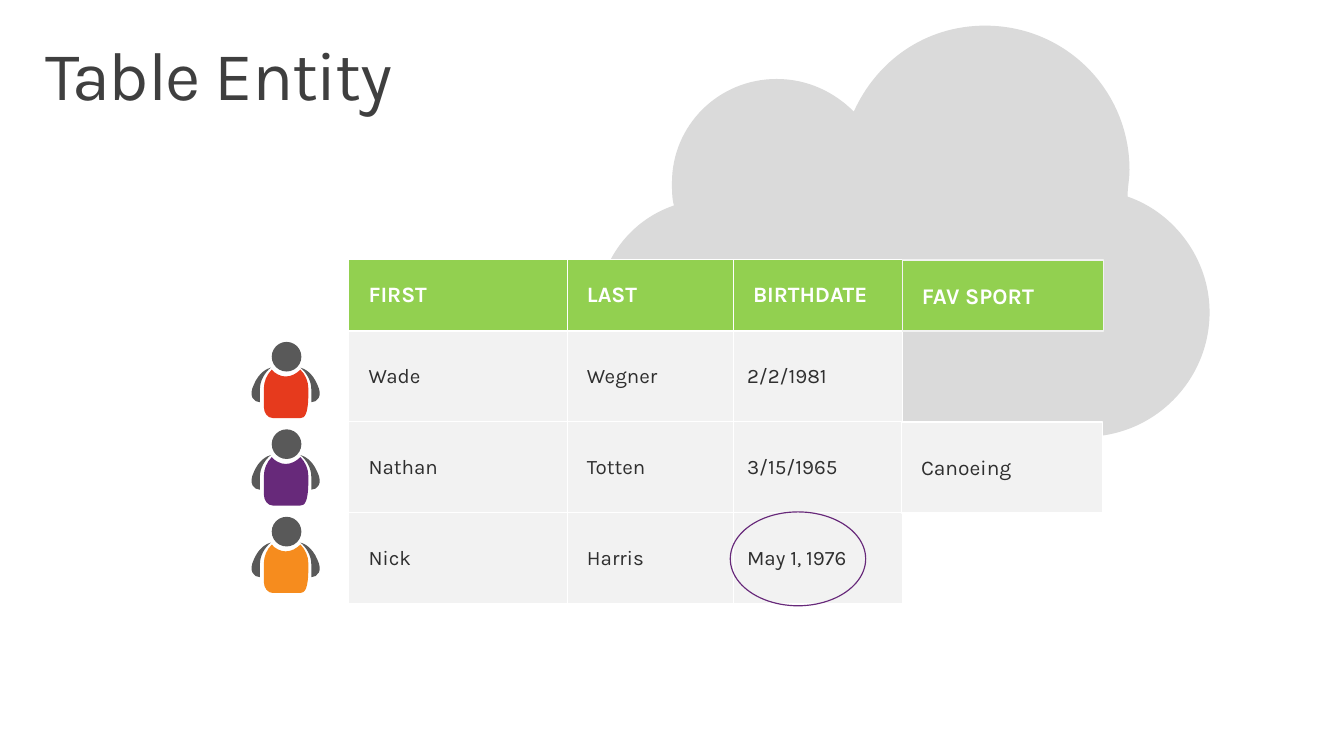
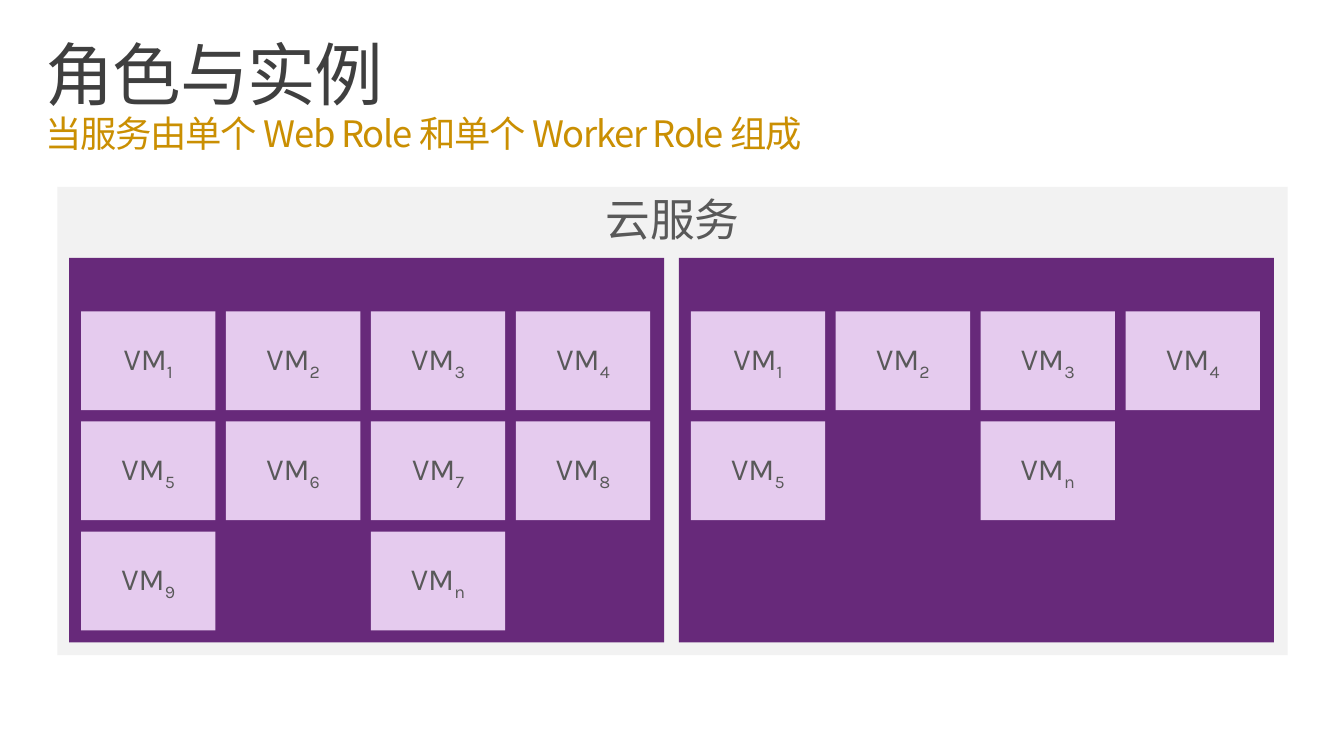
from dataclasses import dataclass

from lxml.etree import SubElement
from pptx import Presentation
from pptx.dml.color import RGBColor
from pptx.enum.shapes import MSO_SHAPE as Preset
from pptx.enum.text import MSO_ANCHOR as Anchor, PP_ALIGN as Align
from pptx.oxml.ns import qn
from pptx.util import Inches, Pt


@dataclass(frozen=True)
class Theme:
    # Fonts
    latin: str = "Karla"
    asian: str = "Noto Sans CJK SC"
    # Colours
    title: str = "3F3F3F"
    subtitle: str = "CA8F02"
    body: str = "2F2F2F"
    grey: str = "595959"
    cloud: str = "DADADA"
    pale: str = "F2F2F2"
    white: str = "FFFFFF"
    green: str = "92D050"
    purple: str = "67297A"
    lilac: str = "E5CBEE"
    red: str = "E63A1D"
    orange: str = "F68C1E"
    # Type sizes
    title_size: float = 50
    subtitle_size: float = 26.5
    service_size: float = 32.6
    vm_size: float = 22.4
    header_size: float = 16
    cell_size: float = 15
    sport_header_size: float = 16.3
    sport_size: float = 15.3


THEME = Theme()

# Outlines: a start point, then lines (x, y) or cubic curves (six numbers)
CLOUD = [
    (11.41, 1.99),
    (11.41, 1.9, 11.43, 1.81, 11.43, 1.72), (11.43, 0.91, 10.78, 0.26, 9.97, 0.26),
    (9.36, 0.26, 8.87, 0.62, 8.64, 1.13), (8.44, 0.93, 8.17, 0.8, 7.86, 0.8),
    (7.27, 0.8, 6.8, 1.27, 6.8, 1.85), (6.8, 1.92, 6.8, 2.01, 6.82, 2.08),
    (6.35, 2.24, 6.04, 2.68, 6.04, 3.2), (6.04, 3.88, 6.58, 4.42, 7.25, 4.42),
    (10.98, 4.42),
    (11.68, 4.42, 12.24, 3.85, 12.24, 3.16), (12.24, 2.62, 11.88, 2.15, 11.41, 1.99),
]
# Person parts are measured from the top centre of the head
ARM = [
    (0.15, 0.26),
    (0.19, 0.27, 0.27, 0.31, 0.32, 0.43), (0.38, 0.55, 0.32, 0.61, 0.26, 0.61),
    (0.26, 0.48), (0.26, 0.39, 0.21, 0.31, 0.15, 0.26),
]
TORSO = [
    (0.23, 0.47),
    (0.23, 0.4, 0.2, 0.33, 0.15, 0.28), (0.11, 0.32, 0.06, 0.35, 0, 0.35),
    (-0.05, 0.35, -0.11, 0.32, -0.14, 0.28), (-0.19, 0.33, -0.22, 0.4, -0.22, 0.47),
    (-0.22, 0.66), (-0.22, 0.72, -0.18, 0.77, -0.13, 0.77),
    (0.15, 0.77), (0.19, 0.77, 0.23, 0.74, 0.23, 0.52),
]


def rgb(colour):
    return RGBColor.from_string(colour)


def add_text(paragraph, text, *, size, colour, bold=False, latin=THEME.latin,
             spacing=None, baseline=None):
    """Append a formatted run to a paragraph."""
    run = paragraph.add_run()
    run.text = text
    font = run.font
    font.size, font.bold, font.name = Pt(size), bold, latin
    font.color.rgb = rgb(colour)
    props = run._r.get_or_add_rPr()
    SubElement(props, qn("a:ea")).set("typeface", THEME.asian)
    if spacing is not None:
        props.set("spc", str(spacing))
    if baseline is not None:
        props.set("baseline", str(baseline))


def set_frame(frame, *, anchor=Anchor.TOP, insets=(0.1, 0.05, 0.1, 0.05)):
    frame.word_wrap = True
    frame.vertical_anchor = anchor
    (frame.margin_left, frame.margin_top,
     frame.margin_right, frame.margin_bottom) = map(Inches, insets)
    return frame.paragraphs[0]


def paint(shape, fill=None, line=None, line_width=1):
    shape.shadow.inherit = False
    if fill:
        shape.fill.solid()
        shape.fill.fore_color.rgb = rgb(fill)
    else:
        shape.fill.background()
    if line:
        shape.line.color.rgb = rgb(line)
        shape.line.width = Pt(line_width)
    else:
        shape.line.fill.background()


def add_preset(shapes, preset, box, **look):
    shape = shapes.add_shape(preset, *map(Inches, box))
    paint(shape, **look)
    return shape


def add_label_box(shapes, box, text, *, align=Align.CENTER, anchor=Anchor.TOP,
                  left_inset=0.1, fill=None, line=None, **text_format):
    """Draw a rectangle with one line of text; return its paragraph."""
    box_shape = add_preset(shapes, Preset.RECTANGLE, box, fill=fill, line=line)
    paragraph = set_frame(box_shape.text_frame, anchor=anchor,
                          insets=(left_inset, 0.05, 0.1, 0.05))
    paragraph.alignment = align
    add_text(paragraph, text, **text_format)
    return paragraph


def cubic_points(controls, steps=16):
    """Points along a cubic curve, used to find its extent."""
    for step in range(steps + 1):
        t = step / steps
        weights = ((1 - t) ** 3, 3 * t * (1 - t) ** 2, 3 * t * t * (1 - t), t ** 3)
        yield tuple(sum(w * c[axis] for w, c in zip(weights, controls)) for axis in (0, 1))


def add_outline(shapes, outline, fill, origin=(0, 0), mirror=1):
    """Draw a closed outline of lines and true cubic curves."""
    segments = [
        [(origin[0] + mirror * x, origin[1] + y) for x, y in zip(part[::2], part[1::2])]
        for part in outline
    ]
    extent = []
    for before, segment in zip(segments, segments[1:]):
        controls = [before[-1], *segment]
        extent.extend(cubic_points(controls) if len(segment) == 3 else controls)
    xs, ys = zip(*extent)
    left, top, right, bottom = map(Inches, (min(xs), min(ys), max(xs), max(ys)))

    # The freeform fixes the extent, then its path receives the curves
    builder = shapes.build_freeform(left, top)
    builder.add_line_segments([(right, top), (right, bottom), (left, bottom)], close=True)
    shape = builder.convert_to_shape()
    path = next(shape._element.iter(qn("a:path")))
    for child in list(path):
        path.remove(child)
    for index, segment in enumerate(segments):
        tag = "a:moveTo" if index == 0 else "a:cubicBezTo" if len(segment) == 3 else "a:lnTo"
        command = SubElement(path, qn(tag))
        for x, y in segment:
            SubElement(command, qn("a:pt"), x=str(Inches(x) - left), y=str(Inches(y) - top))
    SubElement(path, qn("a:close"))
    paint(shape, fill=fill)


def add_person(slide, centre, top, shirt):
    parts = slide.shapes.add_group_shape().shapes
    for side in (-1, 1):
        add_outline(parts, ARM, THEME.grey, (centre, top), side)
    add_outline(parts, TORSO, shirt, (centre, top))
    add_preset(parts, Preset.OVAL, (centre - 0.14, top, 0.3, 0.3), fill=THEME.grey)


def add_title(slide, title, subtitle=None):
    box = slide.shapes.add_textbox(*map(Inches, (0.3, 0.32, 13, 1)))
    paragraph = set_frame(box.text_frame, insets=(0.16, 0.1, 0.16, 0.1))
    paragraph.line_spacing = 0.9
    add_text(paragraph, title, size=THEME.title_size, colour=THEME.title, spacing=-100)
    if subtitle:
        paragraph.add_line_break()
        add_text(paragraph, subtitle, size=THEME.subtitle_size, colour=THEME.subtitle,
                 latin=THEME.asian, spacing=-100)


def add_cell_borders(cell, colour):
    props = cell._tc.get_or_add_tcPr()
    for edge in ("lnL", "lnR", "lnT", "lnB"):
        line = SubElement(props, qn(f"a:{edge}"), w=str(Pt(1)))
        SubElement(SubElement(line, qn("a:solidFill")), qn("a:srgbClr"), val=colour)


def fill_cell(cell, text, is_header, is_date):
    add_cell_borders(cell, THEME.white)
    cell.fill.solid()
    cell.fill.fore_color.rgb = rgb(THEME.green if is_header else THEME.pale)
    cell.vertical_anchor = Anchor.MIDDLE
    cell.margin_left = cell.margin_right = Inches(0.14 if is_date else 0.2)
    cell.margin_top = cell.margin_bottom = Inches(0.05)
    add_text(cell.text_frame.paragraphs[0], text, bold=is_header,
             size=THEME.header_size if is_header else THEME.cell_size,
             colour=THEME.white if is_header else THEME.body)


def add_people_table(slide):
    # The first column stays clear for the person icons
    rows = [
        ("FIRST", "LAST", "BIRTHDATE"),
        ("Wade", "Wegner", "2/2/1981"),
        ("Nathan", "Totten", "3/15/1965"),
        ("Nick", "Harris", "May 1, 1976"),
    ]
    widths, heights = (2.21, 2.21, 1.68, 1.71), (0.72, 0.92, 0.92, 0.92)
    frame = slide.shapes.add_table(
        len(heights), len(widths), Inches(1.32), Inches(2.63),
        Inches(sum(widths)), Inches(sum(heights)))
    table = frame.table
    table.first_row = table.horz_banding = False
    for column, width in zip(table.columns, widths):
        column.width = Inches(width)
    for r, (row, height) in enumerate(zip(rows, heights)):
        table.rows[r].height = Inches(height)
        table.cell(r, 0).fill.background()
        for c, text in enumerate(row, start=1):
            fill_cell(table.cell(r, c), text, is_header=r == 0, is_date=r > 0 and c == 3)


def add_role(slide, left, instances):
    """Draw a role panel with its machines in rows of four; a space skips a place."""
    columns, top, pitch_x, pitch_y = 4, 2.61, 4.4 / 3, 2.23 / 2
    text_format = dict(size=THEME.vm_size, colour=THEME.grey)
    add_preset(slide.shapes, Preset.RECTANGLE, (left, top, 6.02, 3.89), fill=THEME.purple)
    for index, instance in enumerate(instances):
        if instance == " ":
            continue
        row, column = divmod(index, columns)
        place = (left + 0.12 + column * pitch_x, top + 0.54 + row * pitch_y)
        paragraph = add_label_box(slide.shapes, (*place, 1.36, 1), "VM", fill=THEME.lilac,
                                  anchor=Anchor.MIDDLE, **text_format)
        add_text(paragraph, instance, baseline=-25000, **text_format)


def build_table_entity(slide):
    add_outline(slide.shapes, CLOUD, THEME.cloud)
    add_title(slide, "Table Entity")
    add_people_table(slide)
    # Ring around the odd date
    add_preset(slide.shapes, Preset.OVAL, (7.39, 5.18, 1.37, 0.95),
               line=THEME.purple, line_width=0.85)
    # Extra property that only one entity has
    sport = dict(align=Align.LEFT, anchor=Anchor.MIDDLE, left_inset=0.2)
    add_label_box(slide.shapes, (9.13, 2.63, 2.04, 0.72), "FAV SPORT",
                  fill=THEME.green, line=THEME.pale, size=THEME.sport_header_size,
                  colour=THEME.white, bold=True, **sport)
    add_label_box(slide.shapes, (9.12, 4.27, 2.04, 0.92), "Canoeing",
                  fill=THEME.pale, line=THEME.white, size=THEME.sport_size,
                  colour=THEME.body, **sport)
    # One person per row
    for index, shirt in enumerate((THEME.red, THEME.purple, THEME.orange)):
        add_person(slide, 2.89, 3.46 + index * 0.885, shirt)


def build_roles(slide):
    add_title(slide, "角色与实例", "当服务由单个 Web Role 和单个 Worker Role 组成")
    add_label_box(slide.shapes, (0.58, 1.89, 12.45, 4.74), "云服务",
                  fill=THEME.pale, size=THEME.service_size, colour=THEME.grey)
    add_role(slide, 0.7, "123456789 n")
    add_role(slide, 6.87, "12345 n")


def main():
    deck = Presentation()
    deck.slide_width, deck.slide_height = Inches(13.6), Inches(7.65)
    blank = deck.slide_layouts[6]
    for build in (build_table_entity, build_roles):
        build(deck.slides.add_slide(blank))
    deck.save("out.pptx")


if __name__ == "__main__":
    main()
